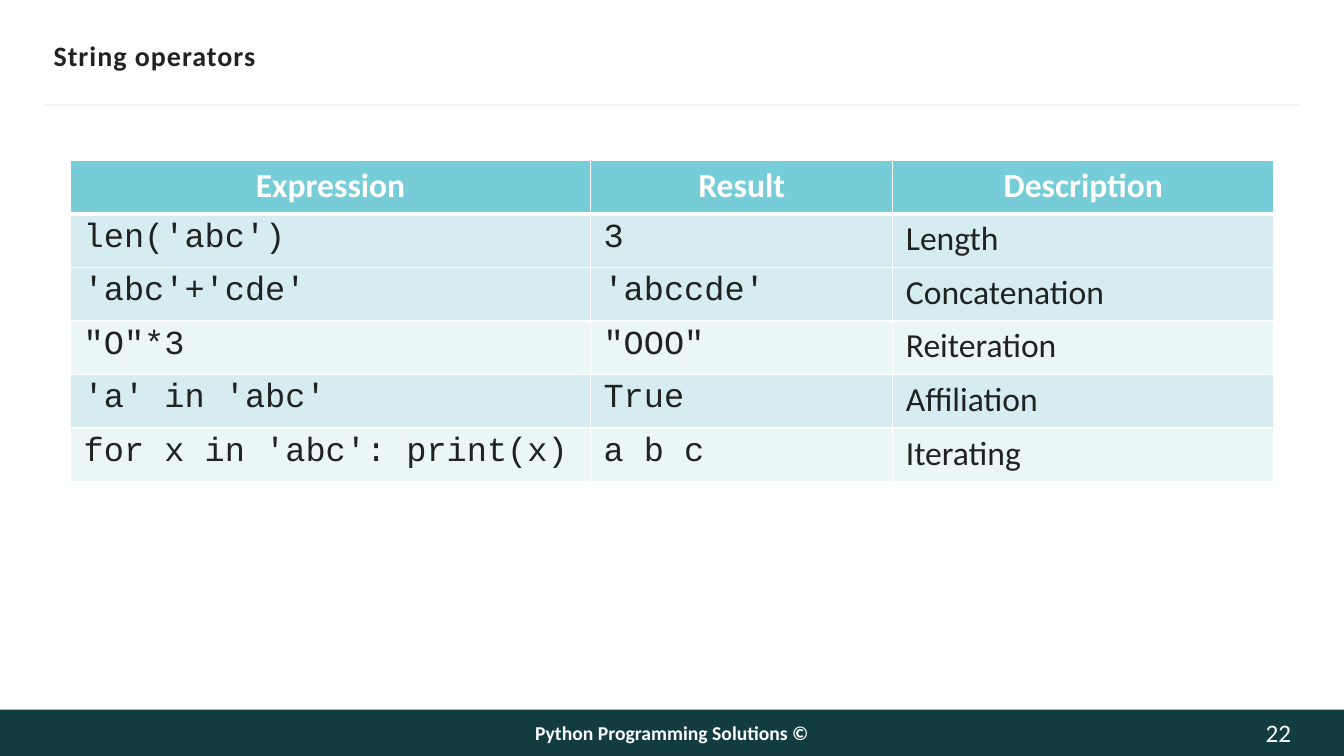
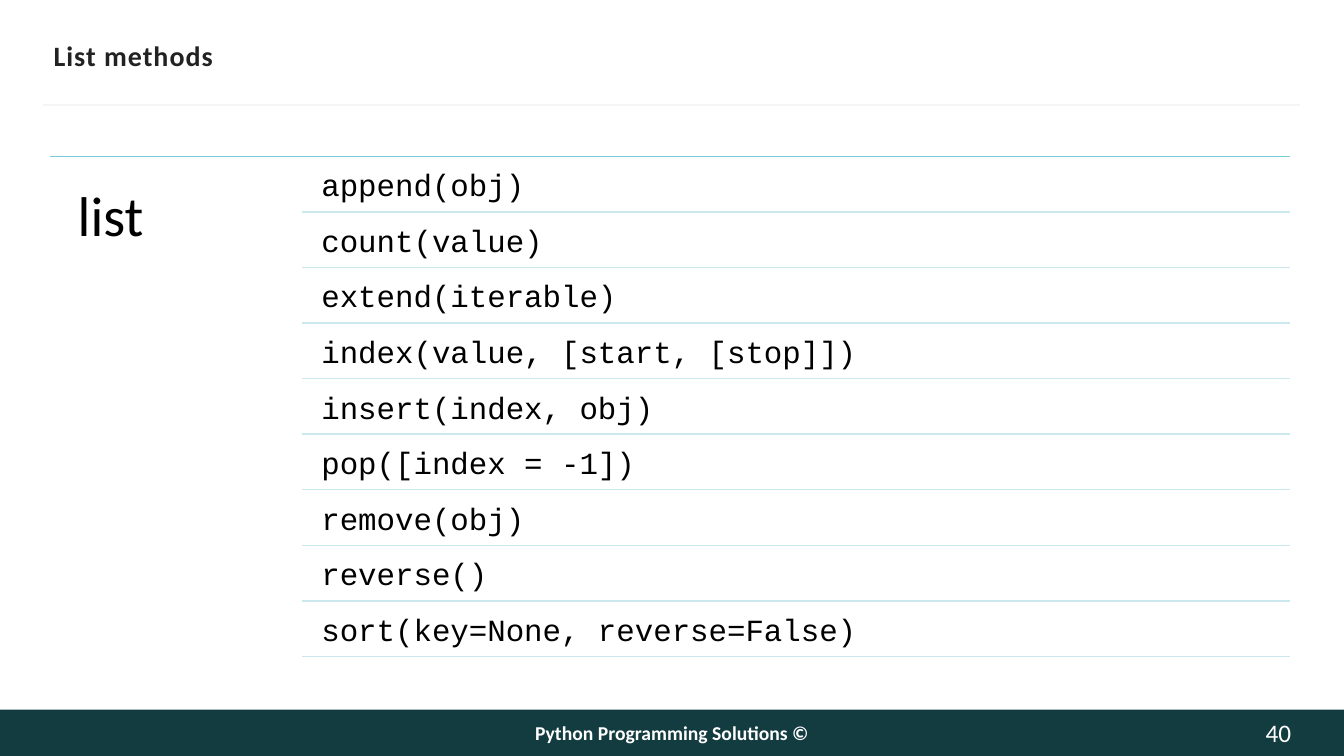
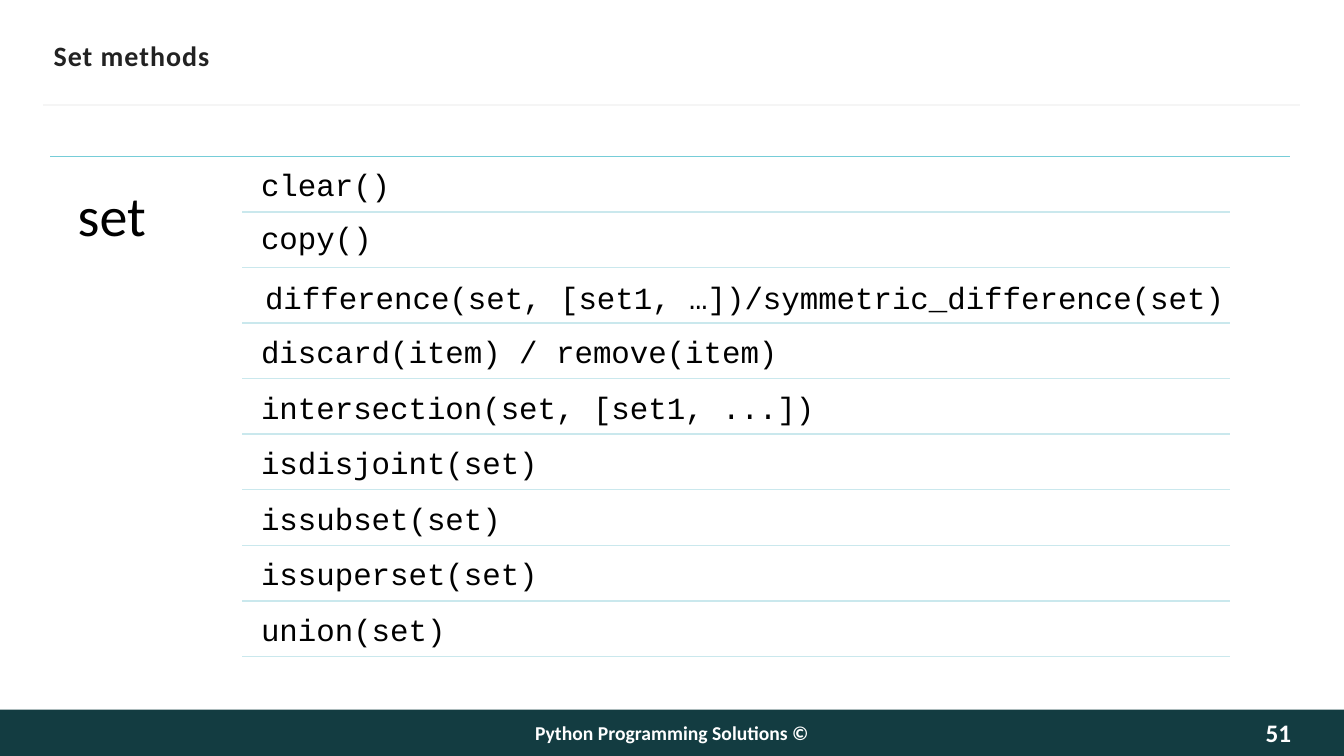
import lxml.etree
import pptx
import pptx.dml.color
import pptx.enum.shapes
import pptx.enum.text
import pptx.oxml.ns
import pptx.util

Cm = pptx.util.Cm
Pt = pptx.util.Pt
ALIGN = pptx.enum.text.PP_ALIGN
ANCHOR = pptx.enum.text.MSO_ANCHOR

COLORS = {
    "band": "133C41",
    "rule": "F5F5F5",
    "accent": "76CDD8",
    "divider": "CAE8ED",
    "row_dark": "D5ECF0",
    "row_light": "EBF6F7",
    "title": "222222",
    "body": "000000",
    "white": "FFFFFF",
    "number": "FEFEFE",
}
TEXT_FONT = "Calibri"
CODE_FONT = "Courier New"
PAGE_WIDTH, PAGE_HEIGHT = 33.87, 19.05
TITLE_BOX = (1.35, 0.84, 31.22, 1.12)
FOOTER_BOX = (0, 17.88, PAGE_WIDTH, 1.17)
TABLE_BOX = (1.78, 4.04, 30.32, 8.1)
METHODS_BOX = (1.27, 3.94, 31.24, 12.6)

OPERATORS = [
    ("Expression", "Result", "Description"),
    ("len('abc')", "3", "Length"),
    ("'abc'+'cde'", "'abccde'", "Concatenation"),
    ('"O"*3', '"OOO"', "Reiteration"),
    ("'a' in 'abc'", "True", "Affiliation"),
    ("for x in 'abc': print(x)", "a b c", "Iterating"),
]
LIST_METHODS = [
    "append(obj)",
    "count(value)",
    "extend(iterable)",
    "index(value, [start, [stop]])",
    "insert(index, obj)",
    "pop([index = -1])",
    "remove(obj)",
    "reverse()",
    "sort(key=None, reverse=False)",
]
SET_METHODS = [
    "clear()",
    "copy()",
    "difference(set, [set1, …])/symmetric_difference(set)",
    "discard(item) / remove(item)",
    "intersection(set, [set1, ...])",
    "isdisjoint(set)",
    "issubset(set)",
    "issuperset(set)",
    "union(set)",
]
SET_NUDGES = {1: (0, -0.08, 0), 2: (0.1, 0.05, 2.64)}


def rgb(name):
    """Return the named palette colour."""
    return pptx.dml.color.RGBColor.from_string(COLORS[name])


def style_para(para, size, color, font=TEXT_FONT, bold=False, align=ALIGN.LEFT):
    """Format a paragraph and its runs."""
    para.alignment = align
    for span in para.runs:
        span.font.name = font
        span.font.size = Pt(size)
        span.font.bold = bold
        span.font.color.rgb = rgb(color)


def add_text(page, box, text, size, color, inset=(0, 0), anchor=ANCHOR.TOP, **style):
    """Add a one-paragraph text box and return its paragraph."""
    frame = page.shapes.add_textbox(*map(Cm, box)).text_frame
    frame.word_wrap = True
    frame.vertical_anchor = anchor
    frame.margin_left = frame.margin_right = Cm(inset[0])
    frame.margin_top = frame.margin_bottom = Cm(inset[1])
    frame.text = text
    para = frame.paragraphs[0]
    style_para(para, size, color, **style)
    return para


def add_rule(page, left, right, top, color, width):
    """Draw a horizontal line without a shadow."""
    rule = page.shapes.add_connector(
        pptx.enum.shapes.MSO_CONNECTOR.STRAIGHT, Cm(left), Cm(top), Cm(right), Cm(top))
    rule.line.color.rgb = rgb(color)
    rule.line.width = Pt(width)
    lxml.etree.SubElement(rule.element.spPr, pptx.oxml.ns.qn("a:effectLst"))


def add_title(page, box, text):
    """Place the slide title and the rule below it."""
    para = add_text(page, box, text, 20, "title", (0, 0.13), ANCHOR.MIDDLE, bold=True)
    para.runs[0].font._element.set("spc", "70")
    add_rule(page, box[0] - 0.26, box[0] + box[2] + 0.2, box[1] + 1.8, "rule", 1.5)


def add_footer(page, box, number, bold):
    """Place the footer band, its caption and the page number."""
    left, top, width, height = box
    band = page.shapes.add_shape(
        pptx.enum.shapes.MSO_SHAPE.RECTANGLE, *map(Cm, box))
    band.shadow.inherit = False
    band.fill.solid()
    band.fill.fore_color.rgb = rgb("band")
    band.line.fill.background()
    add_text(page, (left + 8.89, top, width - 17.78, height - 0.03),
             "Python Programming Solutions ©", 14, "white", (0.25, 0.13),
             ANCHOR.MIDDLE, bold=True, align=ALIGN.CENTER)
    add_text(page, (left + width - 3.01, top, 1.68, height), str(number), 18,
             "number", anchor=ANCHOR.MIDDLE, bold=bold, align=ALIGN.RIGHT)


def set_borders(cell, widths):
    """Draw white cell borders with a width in points for each side."""
    for side, width in widths.items():
        line = lxml.etree.SubElement(
            cell._tc.get_or_add_tcPr(), pptx.oxml.ns.qn("a:ln" + side), w=str(Pt(width)))
        fill = lxml.etree.SubElement(line, pptx.oxml.ns.qn("a:solidFill"))
        lxml.etree.SubElement(fill, pptx.oxml.ns.qn("a:srgbClr"), val=COLORS["white"])


def add_operator_table(page, box, rows):
    """Place the operator table with a header and coloured rows."""
    fills = ["accent", "row_dark", "row_dark", "row_light", "row_dark", "row_light"]
    table = page.shapes.add_table(len(rows), len(rows[0]), *map(Cm, box)).table
    for column, width in zip(table.columns, (13.1, 7.62, 9.6)):
        column.width = Cm(width)
    for r, row in enumerate(rows):
        table.rows[r].height = Cm(box[3] / len(rows))
        for c, text in enumerate(row):
            cell = table.cell(r, c)
            set_borders(cell, {"L": 0.96, "R": 0.96,
                               "T": 3 if r == 1 else 0.96, "B": 3 if r == 0 else 0.96})
            cell.fill.solid()
            cell.fill.fore_color.rgb = rgb(fills[r])
            cell.margin_left = cell.margin_right = Cm(0.33)
            cell.margin_top = cell.margin_bottom = Cm(0.13)
            cell.text = text
            para = cell.text_frame.paragraphs[0]
            if r == 0:
                style_para(para, 24, "white", bold=True, align=ALIGN.CENTER)
            else:
                style_para(para, 24, "title", CODE_FONT if c < 2 else TEXT_FONT)


def add_method_list(page, box, name, methods, indent, space_after, nudges):
    """Place a type name beside its ruled list of methods."""
    left, top, width, height = box
    step = height / len(methods)
    para = add_text(page, (left, top + 0.12, 6.1, 12.7), name, 40, "body", (0.69, 0.69))
    para.line_spacing = 0.9
    para.space_after = Pt(22.8)
    add_rule(page, left, left + width, top, "accent", 1)
    start = left + indent
    for i, method in enumerate(methods):
        dx, dy, extra = nudges.get(i, (0, 0, 0))
        row_box = (start + 0.25 + dx, top + 0.12 + i * step + dy, 24.51 + extra, 1.27)
        para = add_text(page, row_box, method, 22, "body", (0.23, 0.23), font=CODE_FONT)
        para.line_spacing = 0.9
        para.space_after = Pt(space_after)
        add_rule(page, start, start + 24.89, top + (i + 1) * step, "divider", 1)


def add_page(deck, title, number, bold_number=False):
    """Add a blank slide with the shared title and footer."""
    page = deck.slides.add_slide(deck.slide_layouts[6])
    add_footer(page, FOOTER_BOX, number, bold_number)
    add_title(page, TITLE_BOX, title)
    return page


def main():
    """Build and save the deck."""
    deck = pptx.Presentation()
    deck.slide_width = Cm(PAGE_WIDTH)
    deck.slide_height = Cm(PAGE_HEIGHT)
    add_operator_table(add_page(deck, "String operators", 22), TABLE_BOX, OPERATORS)
    add_method_list(add_page(deck, "List methods", 40), METHODS_BOX,
                    "list", LIST_METHODS, 6.35, 7.7, {})
    add_method_list(add_page(deck, "Set methods", 51, True), METHODS_BOX,
                    "set", SET_METHODS, 4.83, 6.7, SET_NUDGES)
    deck.save("out.pptx")


if __name__ == "__main__":
    main()
